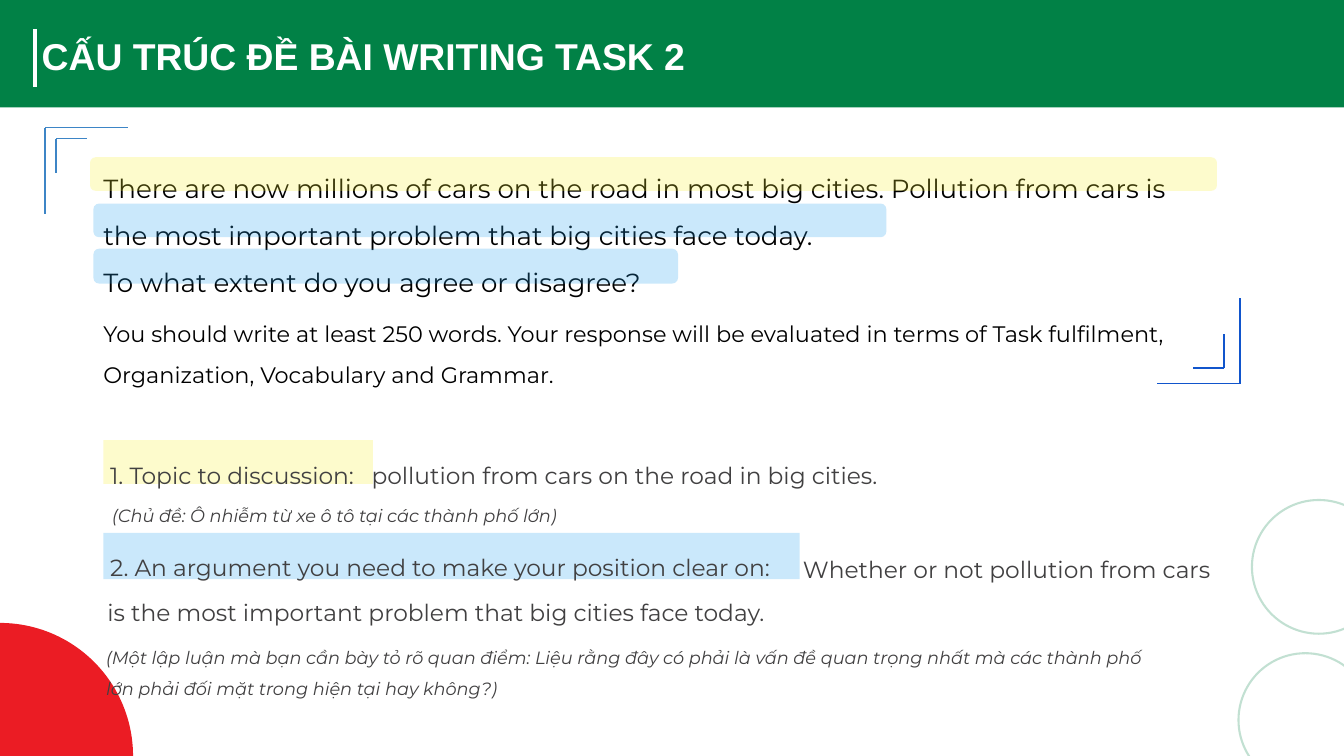
from lxml import etree
from pptx import Presentation
from pptx.dml.color import RGBColor
from pptx.enum.shapes import MSO_CONNECTOR, MSO_SHAPE
from pptx.enum.text import MSO_ANCHOR, PP_ALIGN
from pptx.oxml.ns import qn
from pptx.util import Inches, Pt

RECTANGLE, ROUNDED, OVAL = MSO_SHAPE.RECTANGLE, MSO_SHAPE.ROUNDED_RECTANGLE, MSO_SHAPE.OVAL
STRAIGHT = MSO_CONNECTOR.STRAIGHT
LEFT, TOP, MIDDLE = PP_ALIGN.LEFT, MSO_ANCHOR.TOP, MSO_ANCHOR.MIDDLE

GREEN, RED, WHITE, BLACK, GREY = "018146", "EB1C24", "FFFFFF", "000000", "414041"
YELLOW, BLUE = "F9EF2C", "24A3F1"

presentation = Presentation()
presentation.slide_width, presentation.slide_height = Inches(20), Inches(11.25)
CELL = presentation.slide_width / 200  # square grid of 200 columns by 112.5 rows


def cells(*counts):
    return [round(count * CELL) for count in counts]


def paint(fill, colour, translucent=None):
    """Fill with a hex colour; a shape given as translucent gets 24% opacity."""
    fill.solid()
    fill.fore_color.rgb = RGBColor.from_string(colour)
    if translucent is not None:
        for element in translucent._element.spPr.iter(qn("a:srgbClr")):
            etree.SubElement(element, qn("a:alpha"), val="24000")


slide = presentation.slides.add_slide(presentation.slide_layouts[5])
shapes = slide.shapes

# Background decoration
for left, top in ((186.3, 74.4), (184.3, 97.2)):
    ring = shapes.add_shape(OVAL, *cells(left, top, 19.9, 19.9))
    ring.shadow.inherit = False
    ring.fill.background()
    paint(ring.line.fill, GREEN, ring)
    ring.line.width = Pt(2.25)

for preset, box, colour in (
    (RECTANGLE, (0, 0, 200, 16), GREEN),
    (OVAL, (-19.8, 92.7, 39.6, 39.6), RED),
):
    shape = shapes.add_shape(preset, *cells(*box))
    shape.shadow.inherit = False
    paint(shape.fill, colour)
    shape.line.fill.background()

# Title, moved in front of the green band
title = shapes.title
shapes._spTree.append(title._element)
title.left, title.top, title.width, title.height = cells(5.2, 4.3, 189.6, 8.7)
title.text_frame.text = "CẤU TRÚC ĐỀ BÀI WRITING TASK 2"
title.text_frame.vertical_anchor = MIDDLE
paragraph = title.text_frame.paragraphs[0]
paragraph.alignment, paragraph.line_spacing = LEFT, 0.9
for name, value in {"name": "Arial", "size": Pt(40), "bold": True}.items():
    setattr(paragraph.font, name, value)
paint(paragraph.font.fill, WHITE)

# Title bar and the two double corner brackets
lines = [((5.2, 4.3, 5.2, 13), WHITE, 4.5)]
for x, y, direction, inset, colour in (
    (6.7, 19, 1, 1.65, "3D85C6"),
    (184.5, 57.1, -1, 2.35, "1155CC"),
):
    for offset, across, down in ((0, 12.4, 12.8), (inset, 4.6, 5.05)):
        corner_x, corner_y = x + direction * offset, y + direction * offset
        for end in (
            (corner_x, corner_y + direction * down),
            (corner_x + direction * across, corner_y),
        ):
            lines.append(((corner_x, corner_y, *end), colour, 1.5))

for points, colour, width in lines:
    line = shapes.add_connector(STRAIGHT, *cells(*points))
    paint(line.line.fill, colour)
    line.line.width = Pt(width)
    etree.SubElement(line._element.spPr, qn("a:effectLst"))

# Text: box, highlight, colour, italic, paragraphs as (size, space before, words)
texts = (
    ((14.4, 22.3, 163.9, 35.9), None, BLACK, False, (
        (28, 0, "There are now millions of cars on the road in most big cities. "
                "Pollution from cars is the most important problem that big cities face today."),
        (28, 0, "To what extent do you agree or disagree?"),
        (24, 10, "You should write at least 250 words. Your response will be evaluated "
                 "in terms of Task fulfilment, Organization, Vocabulary and Grammar."),
    )),
    ((15.4, 65.5, 40.1, 6.5), YELLOW, GREY, False, ((25, 0, "1. Topic to discussion:"),)),
    ((15.4, 79.3, 103.6, 6.9), BLUE, GREY, False,
     ((25, 0, "2. An argument you need to make your position clear on:"),)),
    ((54.3, 65.5, 87.9, 6.5), None, GREY, False,
     ((25, 0, "pollution from cars on the road in big cities."),)),
    ((118.5, 79.5, 63.9, 6.5), None, GREY, False,
     ((25, 0, "Whether or not pollution from cars"),)),
    ((15, 86, 103.6, 6.9), None, GREY, False,
     ((25, 0, "is the most important problem that big cities face today."),)),
    ((15.7, 72.5, 119.9, 6.5), None, GREY, True,
     ((19, 0, "(Chủ đề: Ô nhiễm từ xe ô tô tại các thành phố lớn)"),)),
    ((14.8, 93.6, 159, 11.3), None, GREY, True,
     ((19, 0, "(Một lập luận mà bạn cần bày tỏ rõ quan điểm: Liệu rằng đây có phải là vấn đề "
              "quan trọng nhất mà các thành phố lớn phải đối mặt trong hiện tại hay không?)"),)),
)
for box, highlight, colour, italic, paragraphs in texts:
    if highlight:
        shape = shapes.add_shape(RECTANGLE, *cells(*box))
        shape.shadow.inherit = False
        paint(shape.fill, highlight, shape)
        shape.line.fill.background()
    else:
        shape = shapes.add_textbox(*cells(*box))
    frame = shape.text_frame
    frame.word_wrap, frame.vertical_anchor = True, TOP
    for side in ("left", "top", "right", "bottom"):
        setattr(frame, f"margin_{side}", Inches(0.1))
    for index, (size, space_before, words) in enumerate(paragraphs):
        paragraph = frame.add_paragraph() if index else frame.paragraphs[0]
        paragraph.text = words
        paragraph.alignment, paragraph.line_spacing = LEFT, 1.5
        paragraph.space_before = Pt(space_before)
        for name, value in {"name": "Montserrat", "size": Pt(size), "italic": italic}.items():
            setattr(paragraph.font, name, value)
        paint(paragraph.font.fill, colour)

# Marker strokes over the task text
for box, colour in (
    ((13.4, 23.4, 167.7, 5), YELLOW),
    ((13.9, 30.3, 118, 5), BLUE),
    ((13.9, 37, 87, 5.2), BLUE),
):
    marker = shapes.add_shape(ROUNDED, *cells(*box))
    marker.shadow.inherit = False
    paint(marker.fill, colour, marker)
    marker.line.fill.background()

presentation.save("out.pptx")
